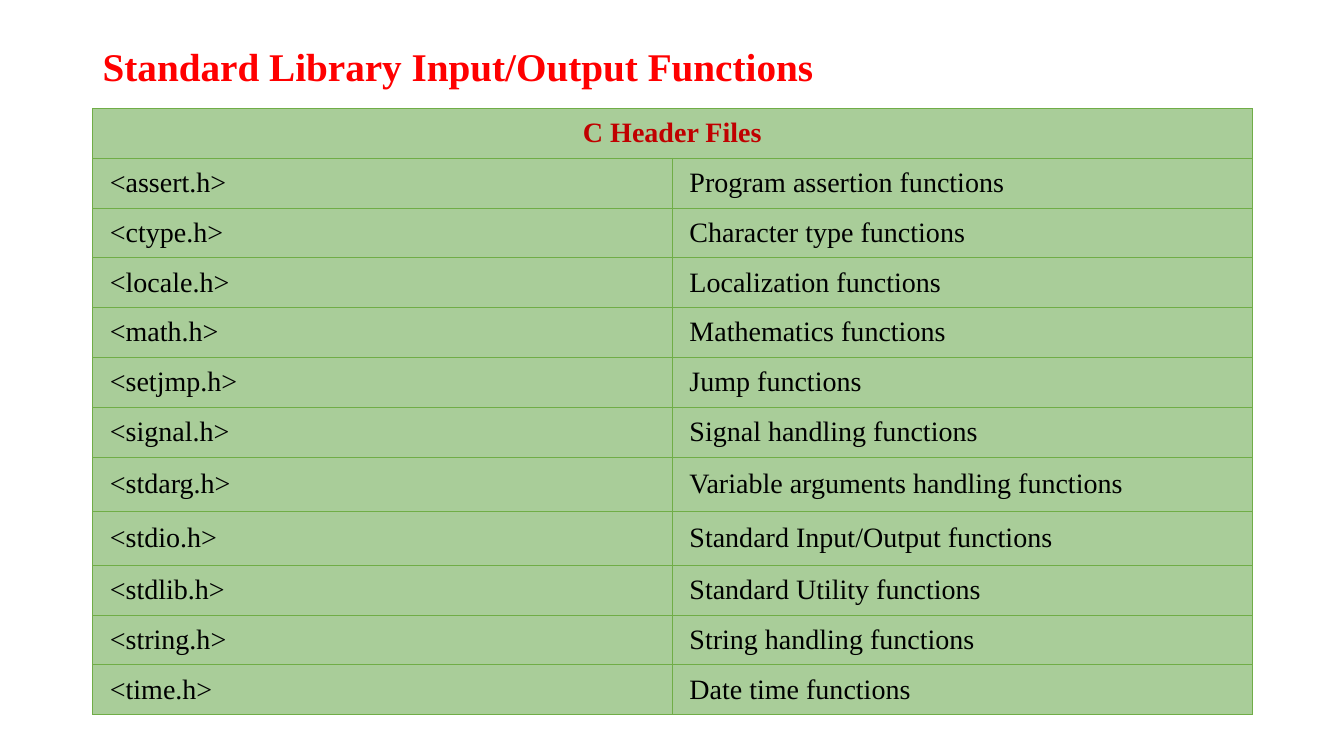
from pptx import Presentation
from pptx.dml.color import RGBColor as RGB
from pptx.enum.text import MSO_ANCHOR as Anchor, PP_ALIGN as Align
from pptx.oxml.ns import qn
from pptx.util import Inches, Pt
from lxml.etree import SubElement as Sub

RED = RGB(0xFF, 0x00, 0x00)
DARK = RGB(0xC0, 0x00, 0x00)
BLACK = RGB(0x00, 0x00, 0x00)
SAGE = RGB(0xA9, 0xCD, 0x99)
GREEN = RGB(0x70, 0xAD, 0x47)

TITLE = "Standard Library Input/Output Functions"
HEAD = "C Header Files"
FILES = [
    ("<assert.h>", "Program assertion functions"),
    ("<ctype.h>", "Character type functions"),
    ("<locale.h>", "Localization functions"),
    ("<math.h>", "Mathematics functions"),
    ("<setjmp.h>", "Jump functions"),
    ("<signal.h>", "Signal handling functions"),
    ("<stdarg.h>", "Variable arguments handling functions"),
    ("<stdio.h>", "Standard Input/Output functions"),
    ("<stdlib.h>", "Standard Utility functions"),
    ("<string.h>", "String handling functions"),
    ("<time.h>", "Date time functions"),
]
TALL = ("<stdarg.h>", "<stdio.h>")


def apply(obj, form):
    for name, val in form.items():
        setattr(obj, name, val)


class Deck:
    """Style and current slide; places are percent of the slide's size."""

    face = "Times New Roman"
    pad = dict(margin_left=Inches(0.17), margin_right=Inches(0.17),
               margin_top=Inches(0.08), margin_bottom=Inches(0.08),
               vertical_anchor=Anchor.MIDDLE)

    def __init__(self):
        self.prs = Presentation()
        apply(self.prs, dict(slide_width=Inches(13.33), slide_height=Inches(7.5)))
        self.slide = self.prs.slides.add_slide(self.prs.slide_layouts[6])

    def col(self, part):
        return int(self.prs.slide_width * part / 100)

    def row(self, part):
        return int(self.prs.slide_height * part / 100)

    def label(self, frame, text, size, color, bold=False, **form):
        para = frame.paragraphs[0]
        apply(para, form)
        run = para.add_run()
        run.text = text
        apply(run.font, dict(name=self.face, size=Pt(size), bold=bold))
        run.font.color.rgb = color

    def title(self, text, x, y, w, h):
        box = self.slide.shapes.add_textbox(
            self.col(x), self.row(y), self.col(w), self.row(h))
        apply(box.text_frame, dict(word_wrap=True, vertical_anchor=Anchor.MIDDLE))
        self.label(box.text_frame, text, 28, RED, True, line_spacing=0.9)

    def edge(self, cell):
        props = cell._tc.get_or_add_tcPr()
        for side in ("lnL", "lnR", "lnT", "lnB"):
            line = Sub(props, qn("a:" + side), w=str(Pt(0.5)))
            fill = Sub(line, qn("a:solidFill"))
            Sub(fill, qn("a:srgbClr"), val=str(GREEN))

    def table(self, head, data, x, y, w, rows):
        grid = self.slide.shapes.add_table(
            len(rows), 2, self.col(x), self.row(y),
            self.col(w), self.row(sum(rows))).table
        for line, high in zip(grid.rows, rows):
            line.height = self.row(high)

        # Cell style
        for cell in grid.iter_cells():
            apply(cell, self.pad)
            self.edge(cell)
            cell.fill.solid()
            cell.fill.fore_color.rgb = SAGE

        # Heading across both columns
        top = grid.cell(0, 0)
        top.merge(grid.cell(0, 1))
        self.label(top.text_frame, head, 20, DARK, True, alignment=Align.CENTER)

        # Header files and their purpose
        for i, pair in enumerate(data, 1):
            for j, text in enumerate(pair):
                self.label(grid.cell(i, j).text_frame, text, 20, BLACK)


def main():
    deck = Deck()
    deck.title(TITLE, 6.9, 5.33, 86.25, 7.6)
    rows = [6.51] + [7.17 if name in TALL else 6.51 for name, _ in FILES]
    deck.table(HEAD, FILES, 6.9, 14.35, 86.25, rows)
    deck.prs.save("out.pptx")


if __name__ == "__main__":
    main()
